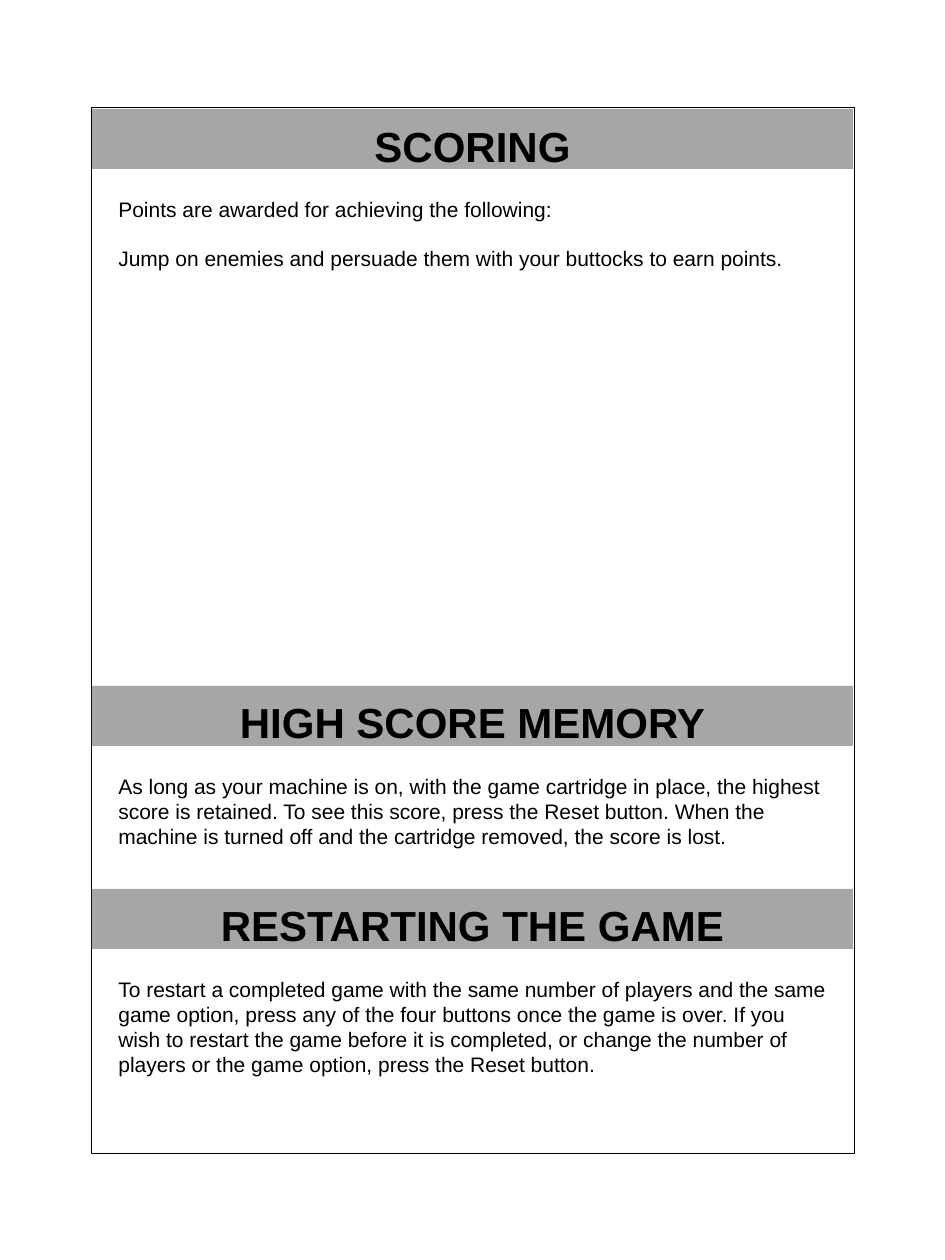
"""Build a game manual page with three headed sections."""
from dataclasses import dataclass

from pptx import Presentation
from pptx.dml.color import RGBColor
from pptx.enum import shapes, text
from pptx.util import Pt

SECTIONS = [
    ("SCORING", 109, 217, [
        "Points are awarded for achieving the following:",
        "Jump on enemies and persuade them with your buttocks to earn points."]),
    ("HIGH SCORE MEMORY", 686, 89, [
        "As long as your machine is on, with the game cartridge in place, the highest "
        "score is retained. To see this score, press the Reset button. When the "
        "machine is turned off and the cartridge removed, the score is lost."]),
    ("RESTARTING THE GAME", 889, 115, [
        "To restart a completed game with the same number of players and the same "
        "game option, press any of the four buttons once the game is over. If you "
        "wish to restart the game before it is completed, or change the number of "
        "players or the game option, press the Reset button."]),
]


@dataclass(frozen=True)
class Theme:
    font: str = "Arial"
    ink: RGBColor = RGBColor(0, 0, 0)
    band: RGBColor = RGBColor(0xA6, 0xA6, 0xA6)
    heading: Pt = Pt(24)
    body: Pt = Pt(12)
    gap: Pt = Pt(14)
    line: Pt = Pt(0.5)


THEME = Theme()
PX = 914400 // 126
PAGE = (945, 1260)
FRAME = (91, 107, 764, 1047)
BAND_X, BAND_W, BAND_H = 92, 761, 60
BODY_X, BODY_W, BODY_DROP = 106, 735, 81


def px(*values):
    return [v * PX for v in values]


def add_run(p, words, size, bold=False):
    r = p.add_run()
    r.text = words
    r.font.name, r.font.size, r.font.bold = THEME.font, size, bold
    r.font.color.rgb = THEME.ink


def add_rect(s, box):
    sp = s.shapes.add_shape(shapes.MSO_SHAPE.RECTANGLE, *px(*box))
    sp.shadow.inherit = False
    return sp


def format_band(sp, words):
    sp.fill.solid()
    sp.fill.fore_color.rgb = THEME.band
    sp.line.fill.background()
    tf = sp.text_frame
    tf.word_wrap = True
    tf.auto_size = text.MSO_AUTO_SIZE.NONE
    tf.vertical_anchor = text.MSO_ANCHOR.TOP
    tf.margin_top, tf.margin_bottom = px(11, 0)
    p = tf.paragraphs[0]
    p.alignment = text.PP_ALIGN.CENTER
    add_run(p, words, THEME.heading, True)


def add_body(s, box, lines):
    tf = s.shapes.add_textbox(*px(*box)).text_frame
    tf.word_wrap = True
    tf.auto_size = text.MSO_AUTO_SIZE.SHAPE_TO_FIT_TEXT
    for i, words in enumerate(lines):
        p = tf.add_paragraph() if i else tf.paragraphs[0]
        p.space_before = THEME.gap if i else Pt(0)
        add_run(p, words, THEME.body)


def main():
    prs = Presentation()
    prs.slide_width, prs.slide_height = px(*PAGE)
    s = prs.slides.add_slide(prs.slide_layouts[5])
    frame = add_rect(s, FRAME)
    frame.fill.background()
    frame.line.color.rgb = THEME.ink
    frame.line.width = THEME.line
    for i, (heading, top, height, lines) in enumerate(SECTIONS):
        box = (BAND_X, top, BAND_W, BAND_H)
        if i:
            sp = add_rect(s, box)
        else:
            sp = s.shapes.title
            sp.left, sp.top, sp.width, sp.height = px(*box)
        format_band(sp, heading)
        add_body(s, (BODY_X, top + BODY_DROP, BODY_W, height), lines)
    prs.save("out.pptx")


if __name__ == "__main__":
    main()
